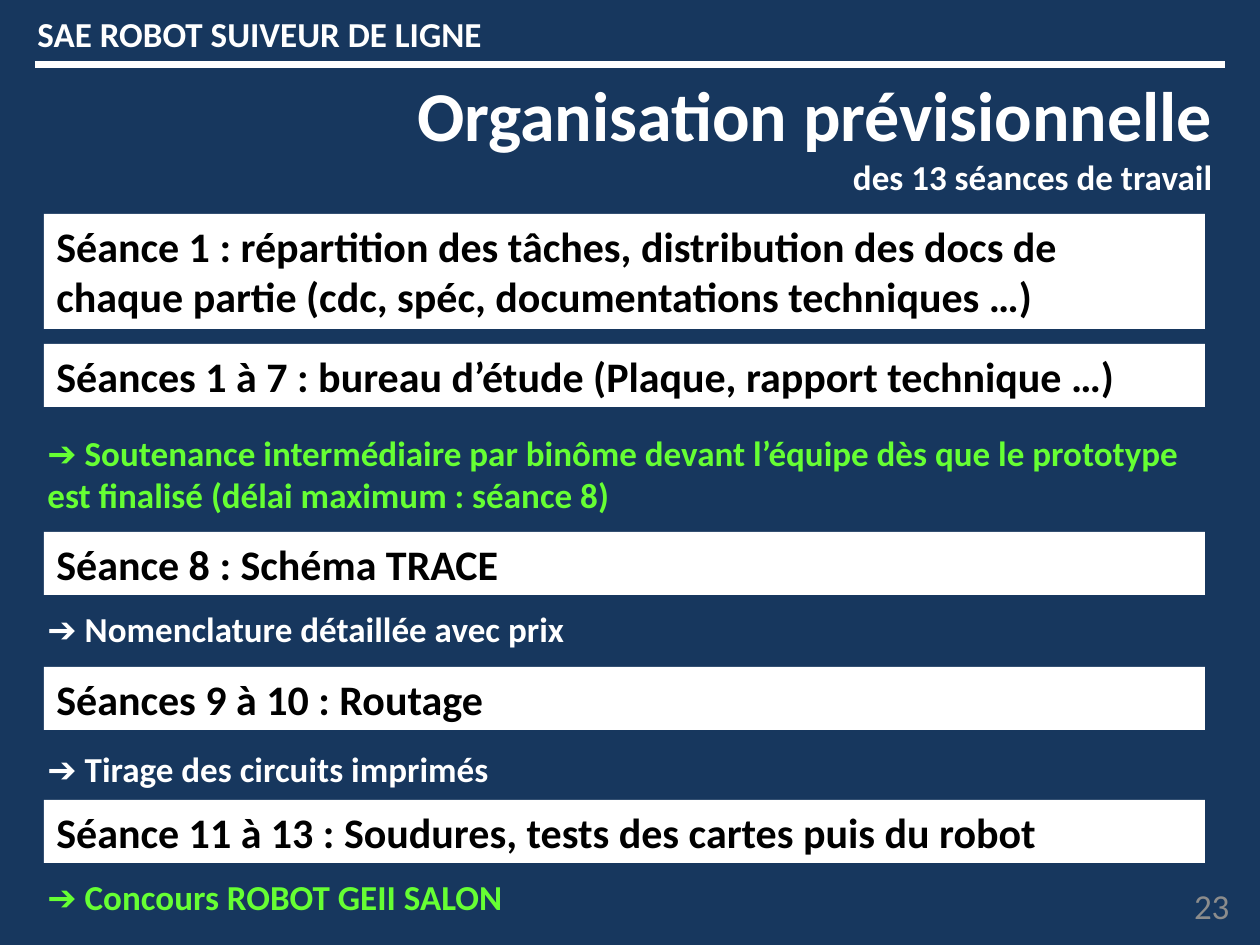
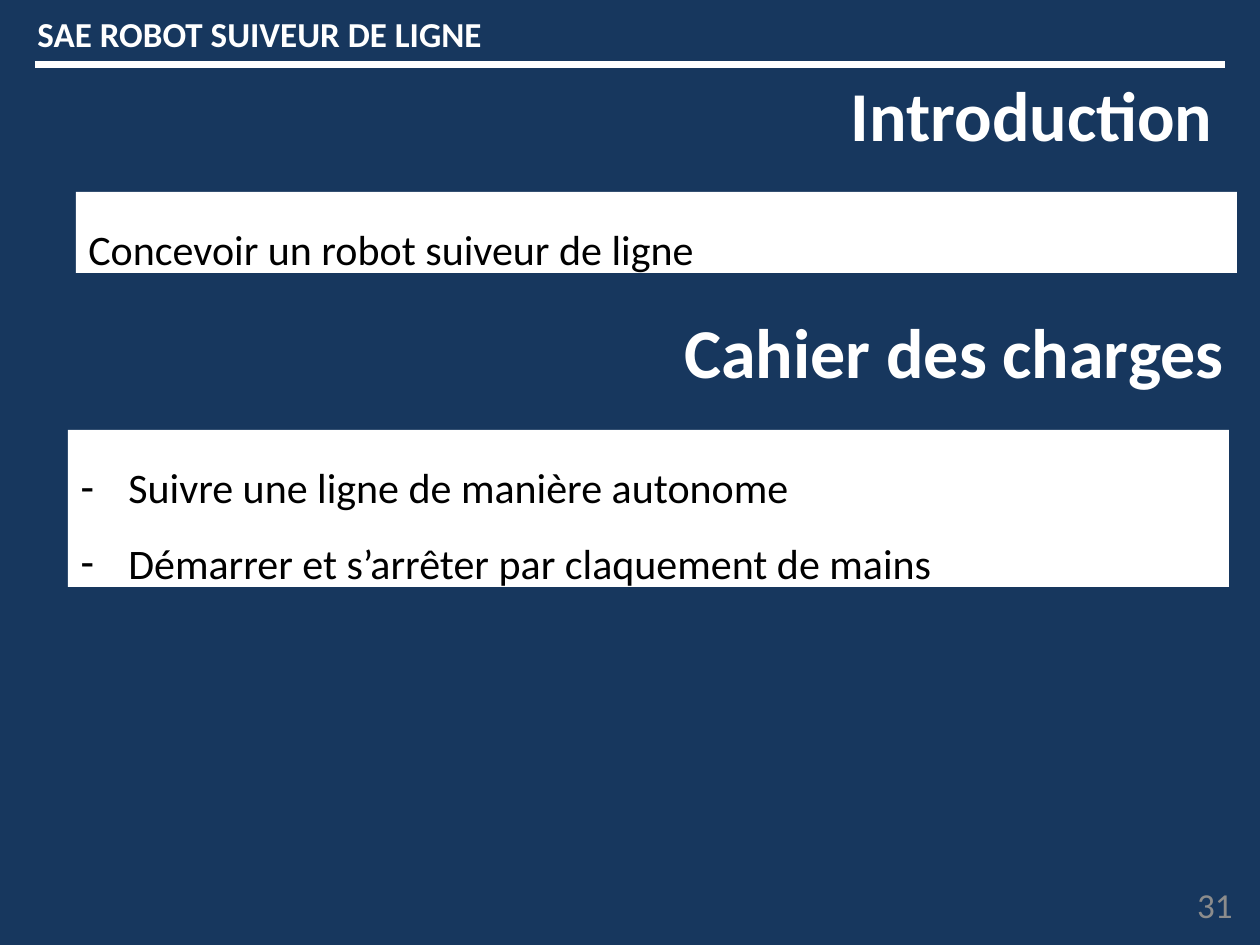
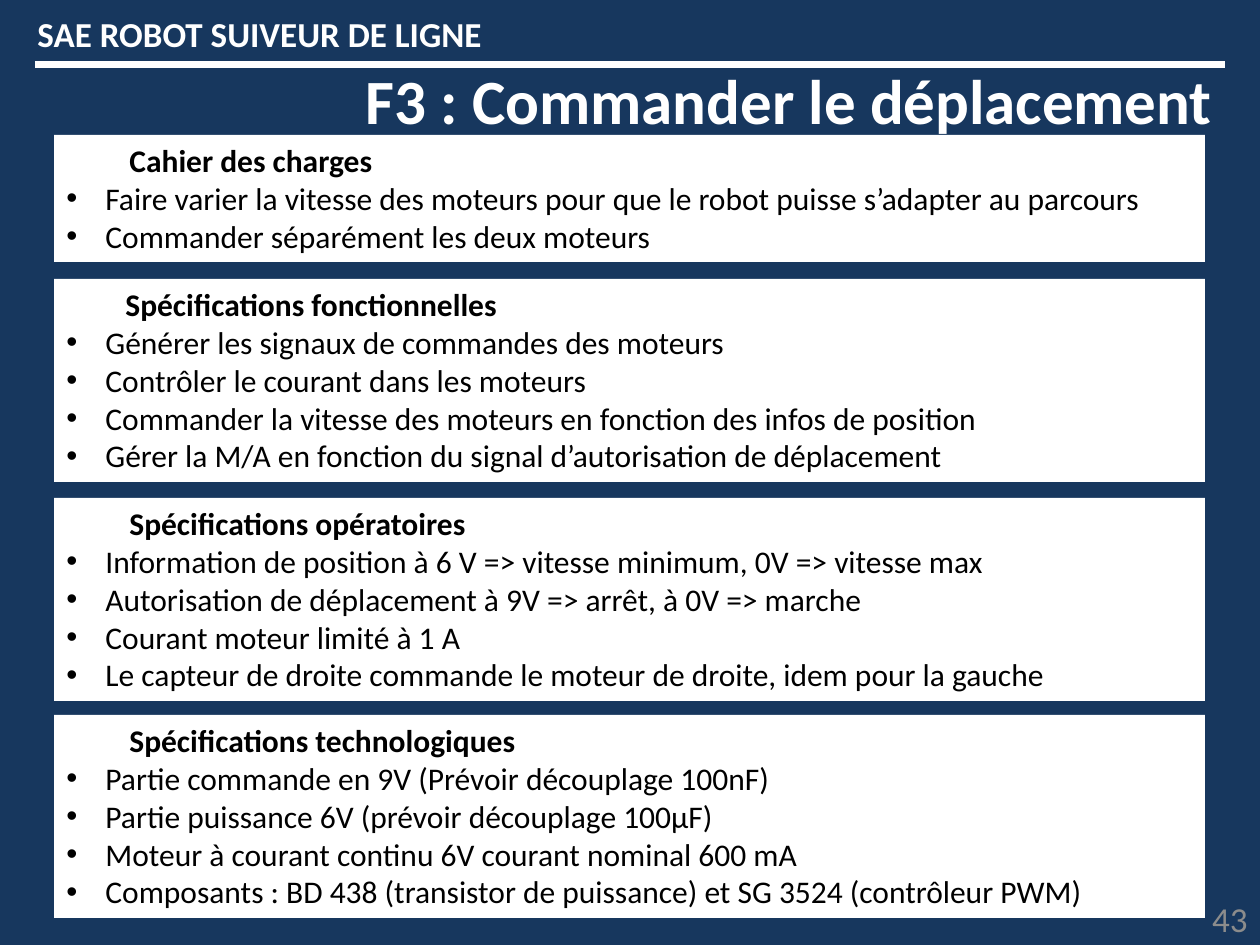
import pptx
import pptx.dml.color
import pptx.enum.shapes
import pptx.enum.text
import pptx.oxml.ns
import pptx.util
import lxml.etree

RGB = pptx.dml.color.RGBColor
NAVY = RGB(0x17, 0x37, 0x5E)
WHITE = RGB(0xFF, 0xFF, 0xFF)
BLACK = RGB(0, 0, 0)
GREEN = RGB(0x66, 0xFF, 0x33)
GREY = RGB(0x8C, 0x8C, 0x8C)
FONT = "Calibri"
DPI = 126
RIGHT = pptx.enum.text.PP_ALIGN.RIGHT
LEFT = pptx.enum.text.PP_ALIGN.LEFT
FIT = pptx.enum.text.MSO_AUTO_SIZE.SHAPE_TO_FIT_TEXT
FIXED = pptx.enum.text.MSO_AUTO_SIZE.NONE
EDGE = 1225  # right end of the rule and of most titles

STEPS = [
    (214, 115, "Séance 1 : répartition des tâches, distribution des docs de "
               "chaque partie (cdc, spéc, documentations techniques …)"),
    (344, 63, "Séances 1 à 7 : bureau d’étude (Plaque, rapport technique …)"),
    (532, 63, "Séance 8 : Schéma TRACE"),
    (667, 63, "Séances 9 à 10 : Routage"),
    (800, 63, "Séance 11 à 13 : Soudures, tests des cartes puis du robot"),
]
NOTES = [
    (425, 1191, 97, GREEN, "➔ Soutenance intermédiaire par binôme devant l’équipe "
                           "dès que le prototype est finalisé (délai maximum : séance 8)"),
    (601, 563, 55, WHITE, "➔ Nomenclature détaillée avec prix"),
    (741, 486, 55, WHITE, "➔ Tirage des circuits imprimés"),
    (869, 500, 55, GREEN, "➔ Concours ROBOT GEII SALON"),
]
SPECS = [
    (135, 63, "Cahier des charges", [
        "Faire varier la vitesse des moteurs pour que le robot puisse s’adapter au parcours",
        "Commander séparément les deux moteurs"]),
    (279, 59, "Spécifications fonctionnelles", [
        "Générer les signaux de commandes des moteurs",
        "Contrôler le courant dans les moteurs",
        "Commander la vitesse des moteurs en fonction des infos de position",
        "Gérer la M/A en fonction du signal d’autorisation de déplacement"]),
    (498, 63, "Spécifications opératoires", [
        "Information de position à 6 V => vitesse minimum, 0V => vitesse max",
        "Autorisation de déplacement à 9V => arrêt, à 0V => marche",
        "Courant moteur limité à 1 A",
        "Le capteur de droite commande le moteur de droite, idem pour la gauche"]),
    (715, 63, "Spécifications technologiques", [
        "Partie commande en 9V (Prévoir découplage 100nF)",
        "Partie puissance 6V (prévoir découplage 100µF)",
        "Moteur à courant continu 6V courant nominal 600 mA",
        "Composants : BD 438 (transistor de puissance) et SG 3524 (contrôleur PWM)"]),
]


def px(num):
    return pptx.util.Emu(round(num * 914400 / DPI))


def write(frame, lines, size, color, bold=False, align=LEFT):
    """Fill a text frame with one paragraph for each line."""
    frame.vertical_anchor = pptx.enum.text.MSO_ANCHOR.TOP
    frame.auto_size = FIT
    for num, line in enumerate(lines):
        para = frame.add_paragraph() if num else frame.paragraphs[0]
        para.text = line
        para.alignment = align
        para.font.name = FONT
        para.font.size = pptx.util.Pt(size)
        para.font.bold = bold
        para.font.color.rgb = color
    return frame


def label(slide, box, text, size, color, bold=True, align=LEFT, wrap=False):
    shape = slide.shapes.add_textbox(*map(px, box))
    shape.text_frame.word_wrap = wrap
    return write(shape.text_frame, [text], size, color, bold, align)


def panel(slide, box, lines, size, bold=False):
    """White box with black text."""
    kind = pptx.enum.shapes.MSO_SHAPE.RECTANGLE
    shape = slide.shapes.add_shape(kind, *map(px, box))
    shape.shadow.inherit = False
    shape.fill.solid()
    shape.fill.fore_color.rgb = WHITE
    shape.line.fill.background()
    shape.text_frame.word_wrap = True
    return write(shape.text_frame, lines, size, BLACK, bold)


def indent(para, left, hang=0):
    props = para._p.get_or_add_pPr()
    props.set("marL", str(px(left)))
    props.set("indent", str(-px(hang)))
    return props


def bullet(para, mark, hang):
    props = indent(para, hang, hang)
    for tag, key, val in (("a:buFont", "typeface", "Arial"), ("a:buChar", "char", mark)):
        lxml.etree.SubElement(props, pptx.oxml.ns.qn(tag)).set(key, val)


def title(slide, text, width, top=65, size=40, right=EDGE):
    box = (right - width, top, width, 97 if size == 40 else 89)
    return label(slide, box, text, size, WHITE, align=RIGHT)


def head(slide):
    """Rule and course name at the top."""
    kind = pptx.enum.shapes.MSO_CONNECTOR.STRAIGHT
    rule = slide.shapes.add_connector(kind, px(35), px(65), px(EDGE), px(65))
    rule.line.color.rgb = WHITE
    rule.line.width = pptx.util.Pt(4)
    lxml.etree.SubElement(rule._element.spPr, pptx.oxml.ns.qn("a:effectLst"))
    label(slide, (25, 6, 474, 55), "SAE ROBOT SUIVEUR DE LIGNE", 20, WHITE)


def folio(slide, num, left, top):
    frame = label(slide, (left, top, 294, 50), str(num), 20, GREY, False, RIGHT, True)
    frame.auto_size = FIXED
    frame.vertical_anchor = pptx.enum.text.MSO_ANCHOR.MIDDLE


def start(deck):
    slide = deck.slides.add_slide(deck.slide_layouts[6])
    slide.background.fill.solid()
    slide.background.fill.fore_color.rgb = NAVY
    return slide


def plan(deck):
    slide = start(deck)
    frame = title(slide, "Organisation prévisionnelle", 830)
    write_sub = frame.add_paragraph()
    write_sub.text = "des 13 séances de travail"
    write_sub.alignment = RIGHT
    font = write_sub.font
    font.name, font.size, font.bold = FONT, pptx.util.Pt(20), True
    font.color.rgb = WHITE
    head(slide)
    for top, high, text in STEPS:
        panel(slide, (44, top, 1161, high), [text], 24, True)
    for top, width, high, color, text in NOTES:
        label(slide, (35, top, width, high), text, 20, color, wrap=high > 55)
    folio(slide, 23, 948, 881)


def intro(deck):
    slide = start(deck)
    title(slide, "Introduction", 392)
    head(slide)
    title(slide, "Cahier des charges", 571, top=302, right=1236)
    goal = panel(slide, (76, 192, 1161, 81), ["Concevoir un robot suiveur de ligne"], 24)
    needs = panel(slide, (68, 430, 1161, 157), [
        "Suivre une ligne de manière autonome",
        "Démarrer et s’arrêter par claquement de mains"], 24)
    for para in goal.paragraphs + needs.paragraphs:
        para.line_spacing = 1.5
    for para in needs.paragraphs:
        bullet(para, "-", 48)
    folio(slide, 31, 951, 879)


def drive(deck):
    slide = start(deck)
    title(slide, "F3 : Commander le déplacement", 881, top=55, size=36)
    head(slide)
    for top, left, name, items in SPECS:
        high = 13 + 38 * (len(items) + 1)
        frame = panel(slide, (54, top, 1151, high), [name] + items, 18)
        first, *rest = frame.paragraphs
        first.font.bold = True
        indent(first, left)
        for para in rest:
            bullet(para, "•", 39)
    folio(slide, 43, 966, 893)


def main():
    deck = pptx.Presentation()
    deck.slide_width, deck.slide_height = px(1260), px(945)
    plan(deck)
    intro(deck)
    drive(deck)
    deck.save("out.pptx")


if __name__ == "__main__":
    main()
